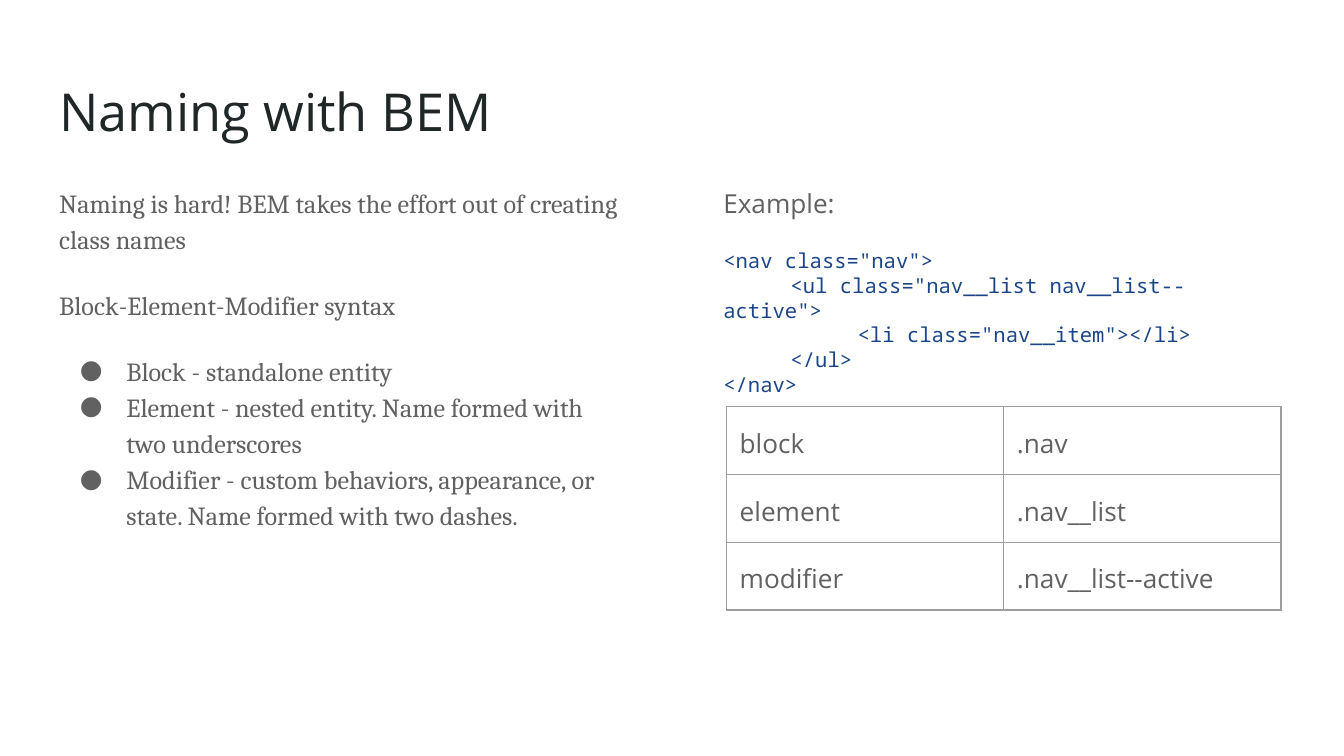
from lxml import etree
from pptx import Presentation
from pptx.dml.color import RGBColor
from pptx.enum.text import MSO_ANCHOR, MSO_AUTO_SIZE, PP_ALIGN
from pptx.oxml.ns import qn
from pptx.util import Cm, Pt

TOP = MSO_ANCHOR.TOP
NO_AUTOFIT = MSO_AUTO_SIZE.NONE
LEFT = PP_ALIGN.LEFT

COLORS = {"title": "202729", "body": "616161", "code": "1C4587", "border": "9E9E9E"}
STYLES = {
    "title": {"name": "Open Sans", "size": Pt(28)},
    "body": {"name": "Cambria", "size": Pt(14)},
    "label": {"name": "Open Sans", "size": Pt(14)},
    "code": {"name": "Noto Sans Mono", "size": Pt(11)},
}
MARGIN = Cm(0.25)


def prepare_frame(frame):
    settings = {
        "word_wrap": True, "auto_size": NO_AUTOFIT, "vertical_anchor": TOP,
        "margin_left": MARGIN, "margin_right": MARGIN,
        "margin_top": MARGIN, "margin_bottom": MARGIN,
    }
    for name, value in settings.items():
        setattr(frame, name, value)
    return frame


def write_paragraph(frame, index, text, style, color, line_spacing=1.0, before=0, after=0):
    paragraph = frame.paragraphs[0] if index == 0 else frame.add_paragraph()
    settings = {
        "alignment": LEFT, "line_spacing": line_spacing,
        "space_before": Pt(before), "space_after": Pt(after),
    }
    for name, value in settings.items():
        setattr(paragraph, name, value)
    run = paragraph.add_run()
    run.text = text
    for name, value in STYLES[style].items():
        setattr(run.font, name, value)
    run.font.color.rgb = RGBColor.from_string(COLORS[color])
    return paragraph


presentation = Presentation()
presentation.slide_width = Cm(25.4)
presentation.slide_height = Cm(14.29)
slide = presentation.slides.add_slide(presentation.slide_layouts[5])

# Title
title = slide.shapes.title
title.left, title.top, title.width, title.height = Cm(0.87), Cm(1.24), Cm(23.67), Cm(1.6)
write_paragraph(prepare_frame(title.text_frame), 0, "Naming with BEM", "title", "title")

# Explanation with bullets
explanation = slide.shapes.add_textbox(Cm(0.87), Cm(3.2), Cm(11.1), Cm(9.5))
explanation_frame = prepare_frame(explanation.text_frame)
explanation_lines = [
    ("Naming is hard! BEM takes the effort out of creating class names", 0, False),
    ("Block-Element-Modifier syntax", 16, False),
    ("Block - standalone entity", 16, True),
    ("Element - nested entity. Name formed with two underscores", 0, True),
    ("Modifier - custom behaviors, appearance, or state. Name formed with two dashes.", 0, True),
]
for index, (text, before, bulleted) in enumerate(explanation_lines):
    paragraph = write_paragraph(explanation_frame, index, text, "body", "body", 1.15, before)
    if bulleted:
        properties = paragraph._p.get_or_add_pPr()
        properties.set("marL", str(Cm(1.27)))
        properties.set("indent", str(-Cm(0.88)))
        bullet_color = etree.SubElement(properties, qn("a:buClr"))
        etree.SubElement(bullet_color, qn("a:srgbClr"), val=COLORS["body"])
        etree.SubElement(properties, qn("a:buFont"), typeface="Cambria")
        etree.SubElement(properties, qn("a:buChar"), char="●")

# Code example
example = slide.shapes.add_textbox(Cm(13.42), Cm(3.2), Cm(11.1), Cm(4.2))
example_frame = prepare_frame(example.text_frame)
write_paragraph(example_frame, 0, "Example:", "label", "body", 1.15)
code_lines = [
    ('<nav class="nav">', 0),
    ('<ul class="nav__list nav__list--active">', 1),
    ('<li class="nav__item"></li>', 2),
    ("</ul>", 1),
    ("</nav>", 0),
]
for index, (text, level) in enumerate(code_lines, start=1):
    before = 16 if index == 1 else 0
    paragraph = write_paragraph(example_frame, index, text, "code", "code", before=before)
    properties = paragraph._p.get_or_add_pPr()
    properties.set("marL", "0")
    properties.set("indent", str(Cm(1.27) * level))

# Table of class names
class_names = [
    ("block", ".nav"),
    ("element", ".nav__list"),
    ("modifier", ".nav__list--active"),
]
table = slide.shapes.add_table(3, 2, Cm(13.73), Cm(7.69), Cm(10.48), Cm(3.84)).table
table.first_row = False
table.horz_banding = False
for row_index, row in enumerate(class_names):
    table.rows[row_index].height = Cm(1.28)
    for column_index, text in enumerate(row):
        cell = table.cell(row_index, column_index)
        for side in ("left", "right", "top", "bottom"):
            setattr(cell, "margin_" + side, MARGIN)
        write_paragraph(cell.text_frame, 0, text, "label", "body", 1.15, after=16)
        cell_properties = cell._tc.get_or_add_tcPr()
        for edge in ("a:lnL", "a:lnR", "a:lnT", "a:lnB"):
            border = etree.SubElement(cell_properties, qn(edge), w=str(Pt(0.75)))
            fill = etree.SubElement(border, qn("a:solidFill"))
            etree.SubElement(fill, qn("a:srgbClr"), val=COLORS["border"])
        cell.fill.background()

presentation.save("out.pptx")
